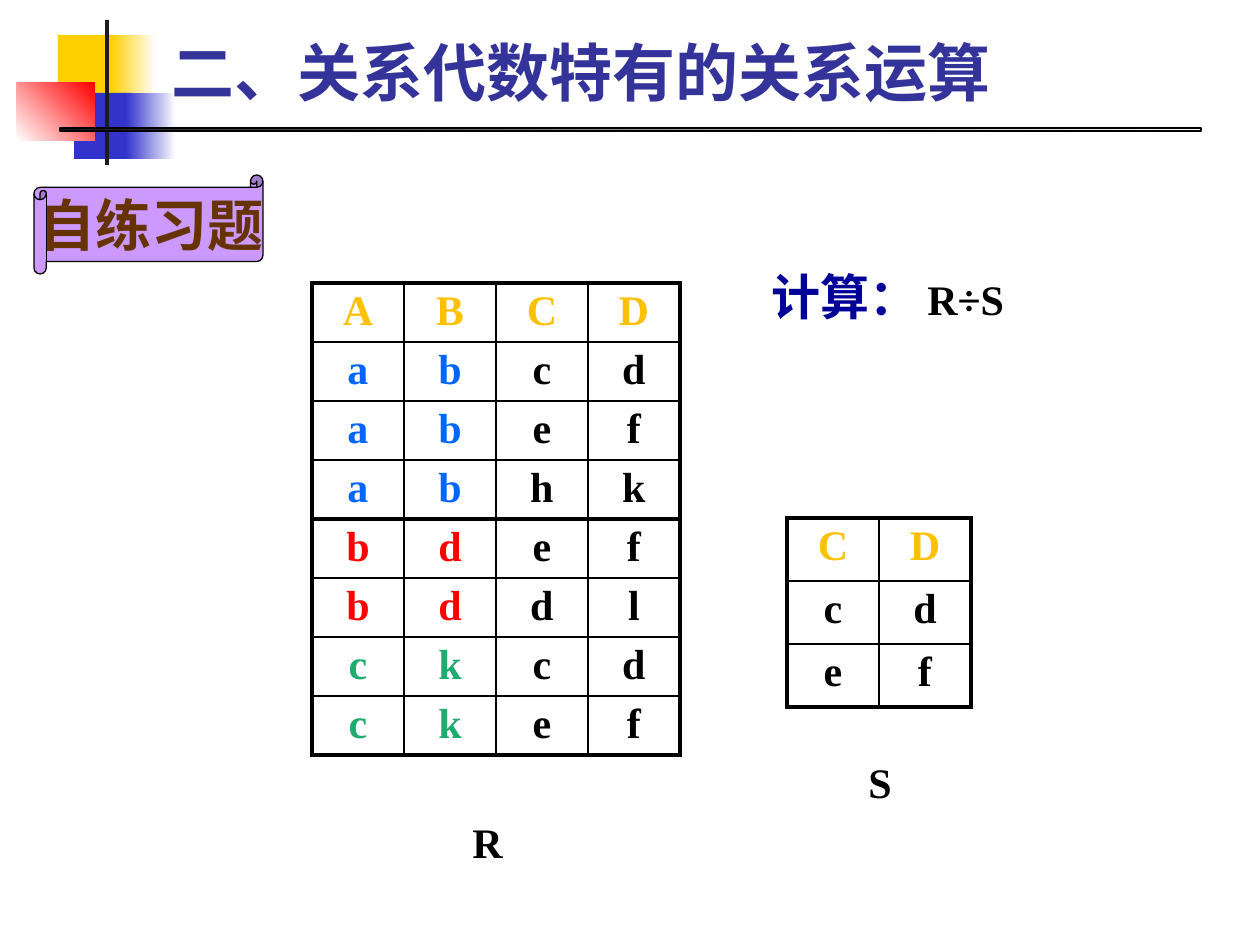
import pptx
import pptx.util
from lxml import etree
from pptx.dml.color import RGBColor
from pptx.enum.shapes import MSO_SHAPE
from pptx.enum.text import MSO_ANCHOR, PP_ALIGN
from pptx.oxml.ns import qn

PX = 914400 // 126
BLACK = RGBColor(0x00, 0x00, 0x00)
WHITE = RGBColor(0xFF, 0xFF, 0xFF)
YELLOW = RGBColor(0xFF, 0xCF, 0x01)
BLUE = RGBColor(0x33, 0x33, 0xCC)
RED = RGBColor(0xFF, 0x00, 0x00)
CHARCOAL = RGBColor(0x1C, 0x1C, 0x1C)
TITLE = RGBColor(0x33, 0x33, 0x99)
NAVY = RGBColor(0x00, 0x00, 0x99)
GOLD = RGBColor(0xFF, 0xC0, 0x00)
SKY = RGBColor(0x00, 0x66, 0xFF)
GREEN = RGBColor(0x20, 0xAC, 0x6F)
LILAC = RGBColor(0xCC, 0x99, 0xFF)
BROWN = RGBColor(0x66, 0x33, 0x00)
SERIF = "Times New Roman"


def write(tf, text, size, font, color, align=PP_ALIGN.LEFT):
    p = tf.paragraphs[0]
    p.text = text
    p.alignment = align
    p.font.size = pptx.util.Pt(size)
    p.font.name = font
    p.font.bold = True
    p.font.color.rgb = color


def add_relation(x, y, row_h, rows, key_cols, thick_after):
    """Draw a relation; key columns are coloured by the first value of the row."""
    n, m = len(rows), len(rows[0])
    table = s.shapes.add_table(n, m, x * PX, y * PX, m * 92 * PX, n * row_h * PX).table
    table.first_row = table.horz_banding = False
    for i, row in enumerate(rows):
        table.rows[i].height = row_h * PX
        for j, value in enumerate(row):
            cell = table.cell(i, j)
            cell.margin_top = cell.margin_bottom = 5 * PX
            if i == 0:
                color = GOLD
            elif j < key_cols:
                color = {"a": SKY, "b": RED, "c": GREEN}[row[0]]
            else:
                color = BLACK
            write(cell.text_frame, value, 24, SERIF, color, PP_ALIGN.CENTER)
            thick = {"L": j == 0, "R": j == m - 1,
                     "T": i in thick_after, "B": i + 1 in thick_after}
            tc_pr = cell._tc.get_or_add_tcPr()
            for side, heavy in thick.items():
                width = pptx.util.Pt(2.25 if heavy else 1)
                ln = etree.SubElement(tc_pr, qn("a:ln" + side), w=str(int(width)))
                fill = etree.SubElement(ln, qn("a:solidFill"))
                etree.SubElement(fill, qn("a:srgbClr"), val=str(BLACK))
            cell.fill.background()


prs = pptx.Presentation()
prs.slide_width = 1260 * PX
prs.slide_height = 945 * PX
s = prs.slides.add_slide(prs.slide_layouts[6])

# Corner decoration: left, top, width, height, colour(s), gradient angle
blocks = [
    (58, 35, 60, 66, [YELLOW], 0),
    (111, 35, 45, 66, [YELLOW, WHITE], 0),
    (74, 93, 58, 66, [BLUE], 0),
    (126, 93, 50, 66, [BLUE, WHITE], 0),
    (17, 83, 78, 58, [WHITE, RED], 45),
    (105, 20, 4, 145, [CHARCOAL], 0),
    (60, 128, 1141, 3, [CHARCOAL, WHITE], 0),
]
for x, y, w, h, colors, angle in blocks:
    sp = s.shapes.add_shape(MSO_SHAPE.RECTANGLE, x * PX, y * PX, w * PX, h * PX)
    sp.shadow.inherit = False
    sp.line.fill.background()
    if len(colors) == 1:
        sp.fill.solid()
        sp.fill.fore_color.rgb = colors[0]
    else:
        sp.fill.gradient()
        sp.fill.gradient_angle = angle
        for stop, color in zip(sp.fill.gradient_stops, colors):
            stop.color.rgb = color
# The last block is the rule under the title, which is outlined
sp.line.color.rgb = BLACK
sp.line.width = pptx.util.Pt(0.75)

add_relation(312, 283, 59,
             ["ABCD", "abcd", "abef", "abhk", "bdef", "bddl", "ckcd", "ckef"],
             2, {0, 4, 8})
add_relation(787, 518, 63, ["CD", "cd", "ef"], 0, {0, 3})

texts = [
    (159, 29, 1074, 86, "二、关系代数特有的关系运算", 36, "Karla", TITLE, MSO_ANCHOR.BOTTOM, True),
    (460, 810, 57, 63, "R", 24, SERIF, BLACK, MSO_ANCHOR.TOP, False),
    (856, 750, 49, 64, "S", 24, SERIF, BLACK, MSO_ANCHOR.TOP, False),
    (759, 260, 179, 72, "计算：", 28, SERIF, NAVY, MSO_ANCHOR.MIDDLE, True),
    (915, 267, 179, 64, "R÷S", 24, SERIF, BLACK, MSO_ANCHOR.TOP, True),
]
for x, y, w, h, text, size, font, color, anchor, wrap in texts:
    tf = s.shapes.add_textbox(x * PX, y * PX, w * PX, h * PX).text_frame
    tf.word_wrap = wrap
    tf.vertical_anchor = anchor
    write(tf, text, size, font, color)

sp = s.shapes.add_shape(MSO_SHAPE.HORIZONTAL_SCROLL, 34 * PX, 175 * PX, 229 * PX, 99 * PX)
sp.shadow.inherit = False
sp.fill.solid()
sp.fill.fore_color.rgb = LILAC
sp.line.color.rgb = BLACK
sp.line.width = pptx.util.Pt(0.75)
tf = sp.text_frame
tf.word_wrap = False
tf.margin_left = tf.margin_right = 0
tf.vertical_anchor = MSO_ANCHOR.MIDDLE
write(tf, "自练习题", 32, "Arial", BROWN, PP_ALIGN.CENTER)

prs.save("out.pptx")
